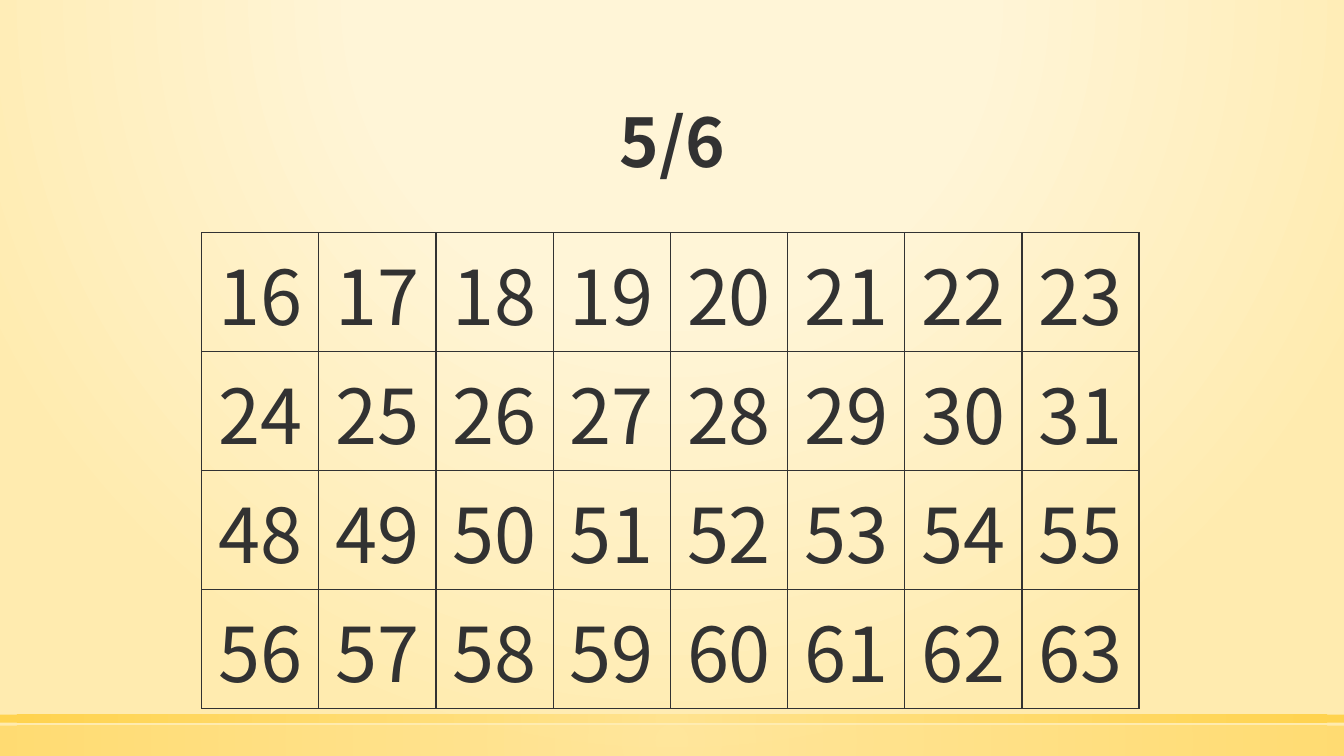
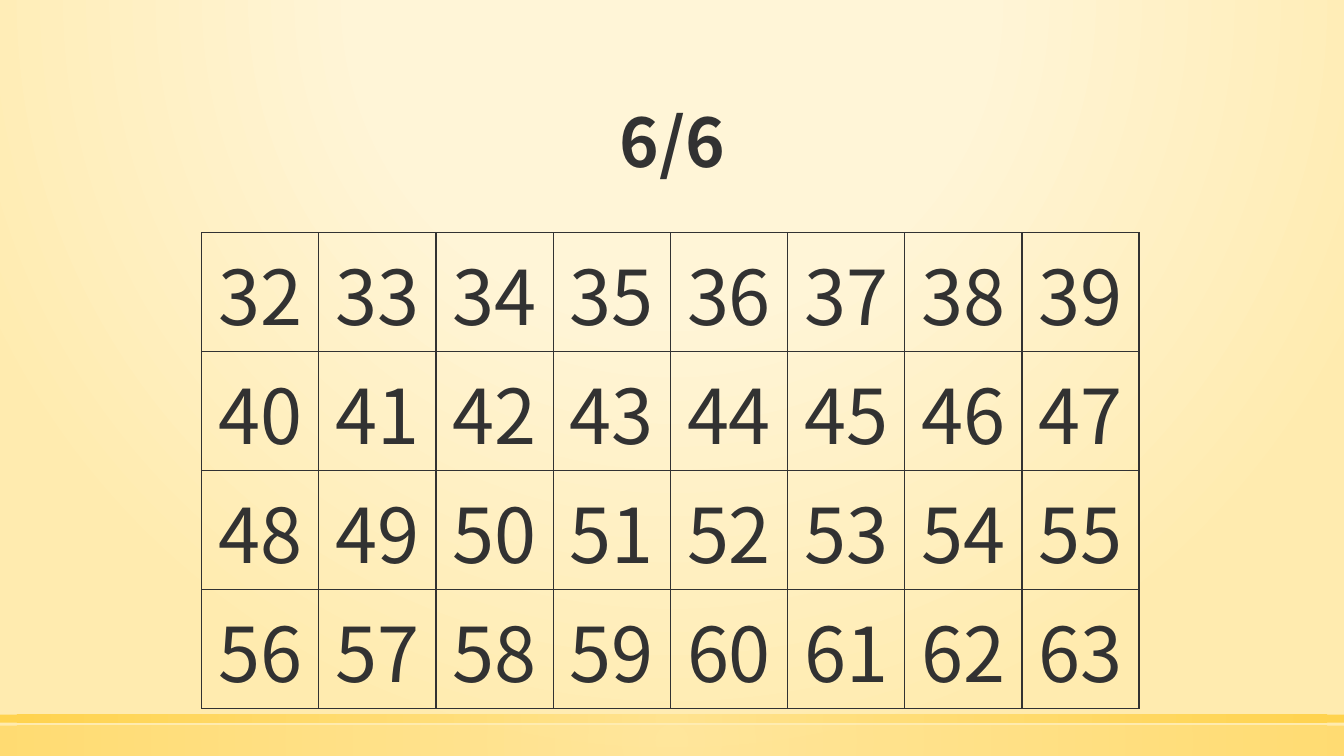
from dataclasses import dataclass

from lxml.etree import SubElement as Sub
from pptx import Presentation as Deck
from pptx.dml.color import RGBColor as Rgb
from pptx.enum.shapes import MSO_SHAPE as Kind
from pptx.enum.text import MSO_ANCHOR as Anchor, PP_ALIGN as Align
from pptx.oxml.ns import qn
from pptx.util import Inches, Pt


@dataclass(frozen=True)
class Theme:
    """Colours, type sizes and gradients of the deck."""
    font: str = "Noto Sans CJK SC"
    ink: str = "323232"
    head: int = 48
    body: int = 54
    rule: int = 1
    page: tuple = ((0, "FFF5D7", 59), (40, "FFF5D7", 66), (100, "FFEBAF", 100))
    glow: tuple = (50, -80, 50, 180)
    band: tuple = ((0, "FFE186"), (100, "FFCD36"))
    mid: tuple = (50, 50, 50, 50)


THEME = Theme()
WIDE, HIGH = 13.33, 7.5
COLS, ROWS = 8, 4
TITLE = (1.47, 0.51, 10.4, 1.35)
GRID = (2, 2.31, 9.3, 4.72)
BANDS = ((7.2, 0.3, 50), (7.09, 0.08, 80))
CARDS = (5, 6)


def inch(box):
    """Turn a box of numbers into lengths."""
    return [Inches(part) for part in box]


def shade(fill, owner, stops, focus):
    """Fill with a round gradient that has the given stops and focus."""
    fill.gradient()
    grad = next(owner.iter(qn("a:gradFill")))
    for child in list(grad):
        grad.remove(child)
    group = Sub(grad, qn("a:gsLst"))
    for place, tone, alpha in stops:
        stop = Sub(group, qn("a:gs"), pos=str(place * 1000))
        color = Sub(stop, qn("a:srgbClr"), val=tone)
        Sub(color, qn("a:alpha"), val=str(alpha * 1000))
    route = Sub(grad, qn("a:path"), path="circle")
    edges = {side: str(part * 1000) for side, part in zip("ltrb", focus)}
    Sub(route, qn("a:fillToRect"), **edges)


def write(para, text, size, bold=False):
    """Write one centred paragraph in the theme's type."""
    para.text = text
    para.alignment = Align.CENTER
    font = para.font
    font.name, font.size, font.bold = THEME.font, Pt(size), bold
    font.color.rgb = Rgb.from_string(THEME.ink)


def add_base(slide):
    """Draw the page glow and the two bands at the foot."""
    shade(slide.background.fill, slide.element, THEME.page, THEME.glow)
    for top, tall, alpha in BANDS:
        band = slide.shapes.add_shape(Kind.RECTANGLE, *inch((0, top, WIDE, tall)))
        stops = [(place, tone, alpha) for place, tone in THEME.band]
        shade(band.fill, band.element.spPr, stops, THEME.mid)
        band.line.fill.background()
        band.shadow.inherit = False


def add_title(slide, box, text):
    """Place the bold title at the foot of its box."""
    frame = slide.shapes.add_textbox(*inch(box)).text_frame
    frame.word_wrap = True
    frame.vertical_anchor = Anchor.BOTTOM
    para = frame.paragraphs[0]
    write(para, text, THEME.head, True)
    para.line_spacing = 0.9


def rule_cell(cell):
    """Clear a cell's fill and rule its four sides."""
    cell.fill.background()
    props = cell._tc.get_or_add_tcPr()
    for at, side in enumerate("LRTB"):
        line = Sub(props, qn(f"a:ln{side}"), w=str(Pt(THEME.rule)))
        paint = Sub(line, qn("a:solidFill"))
        Sub(paint, qn("a:srgbClr"), val=THEME.ink)
        props.insert(at, line)


def add_grid(slide, box, nums):
    """Lay the numbers out row by row in an even table."""
    table = slide.shapes.add_table(ROWS, COLS, *inch(box)).table
    table.first_row = table.horz_banding = False
    for col in table.columns:
        col.width = Inches(box[2] / COLS)
    for cell, num in zip(table.iter_cells(), nums):
        rule_cell(cell)
        write(cell.text_frame.paragraphs[0], str(num), THEME.body)


def add_card(deck, card):
    """Add the slide of all numbers below 64 that hold the card's bit."""
    slide = deck.slides.add_slide(deck.slide_layouts[6])
    add_base(slide)
    add_title(slide, TITLE, f"{card}/6")
    add_grid(slide, GRID, [num for num in range(64) if num >> (card - 1) & 1])


def main():
    """Build the deck and save it."""
    deck = Deck()
    deck.slide_width, deck.slide_height = inch((WIDE, HIGH))
    for card in CARDS:
        add_card(deck, card)
    deck.save("out.pptx")


if __name__ == "__main__":
    main()
